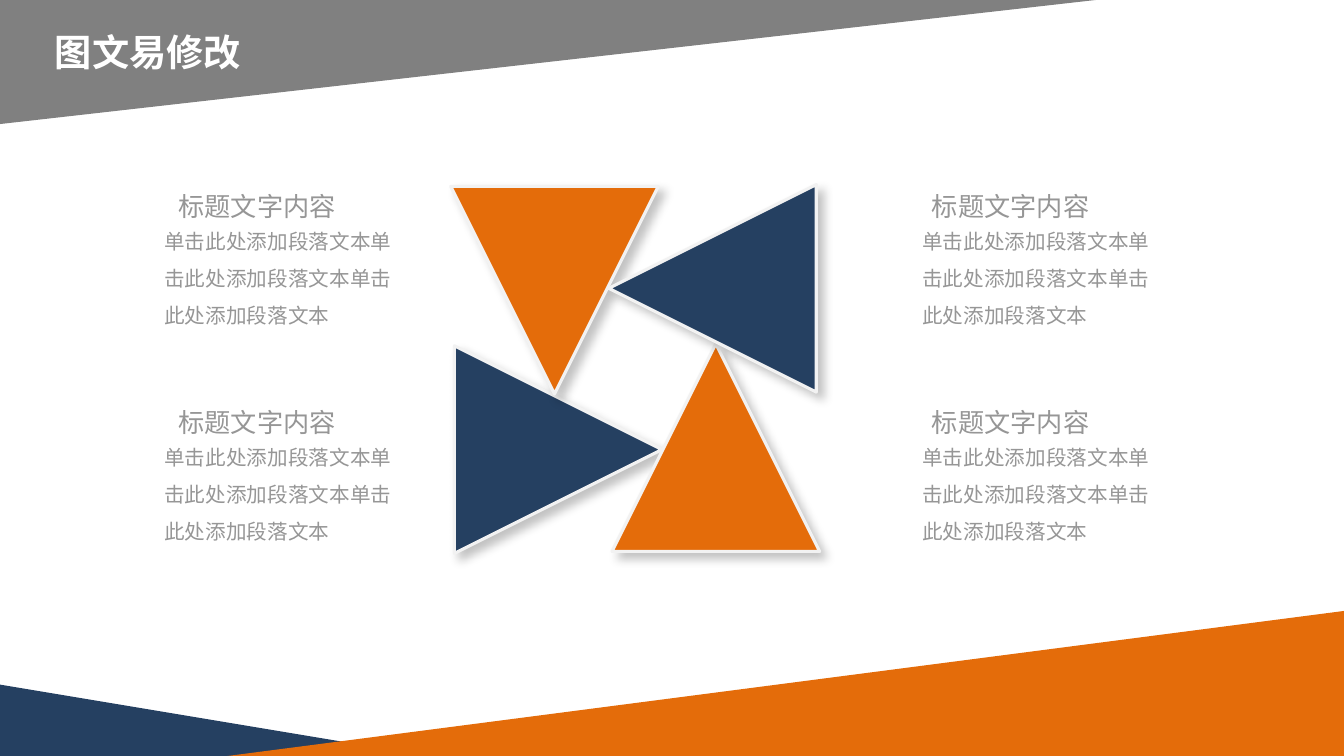
from lxml import etree
from pptx import Presentation
from pptx import util as u
from pptx.dml.color import RGBColor
from pptx.enum import shapes, text
from pptx.oxml import ns

COLORS = {"navy": "254061", "orange": "E46C0A", "gray": "808080",
          "edge": "F2F2F2", "copy": "969696", "white": "FFFFFF"}
CJK = "Noto Sans CJK SC"

prs = Presentation()
prs.slide_width, prs.slide_height = u.Pt(960), u.Pt(540)
s = prs.slides.add_slide(prs.slide_layouts[6])


def add_triangle(kind, box, color, rotation=0):
    sp = s.shapes.add_shape(kind, *map(u.Pt, box))
    sp.shadow.inherit = False
    sp.rotation = rotation
    sp.fill.solid()
    sp.fill.fore_color.rgb = RGBColor.from_string(COLORS[color])
    sp.line.fill.background()
    return sp


def add_text(box, words, size, font, color, align, bold=False, spacing=1.0):
    sp = s.shapes.add_textbox(*map(u.Pt, box))
    tf = sp.text_frame
    tf.word_wrap = True
    tf.auto_size = text.MSO_AUTO_SIZE.SHAPE_TO_FIT_TEXT
    p = tf.paragraphs[0]
    p.text = words
    p.alignment = align
    p.line_spacing = spacing
    p.font.size = u.Pt(size)
    p.font.bold = bold
    p.font.name = font
    p.font.color.rgb = RGBColor.from_string(COLORS[color])
    props = p._p.pPr.find(ns.qn("a:defRPr"))
    etree.SubElement(props, ns.qn("a:ea"), typeface=CJK)
    return tf


wedges = [
    ((0, 489, 306, 51), "navy", 0, False),
    ((162.5, 436.4, 797.5, 103.6), "orange", 0, True),
    ((0, 0, 782.6, 88.6), "gray", 180, True),
]
for box, color, rotation, flipped in wedges:
    sp = add_triangle(shapes.MSO_SHAPE.RIGHT_TRIANGLE, box, color, rotation)
    if flipped:
        sp._element.spPr.find(ns.qn("a:xfrm")).set("flipH", "1")

SIDE = 148.3
blades = [
    (324.6, 247, "navy", 90),
    (321.9, 133.1, "orange", 180),
    (437.2, 245.6, "orange", 0),
    (434.8, 131.8, "navy", 270),
]
for left, top, color, rotation in blades:
    sp = add_triangle(shapes.MSO_SHAPE.ISOSCELES_TRIANGLE,
                      (left, top, SIDE, SIDE), color, rotation)
    sp.line.color.rgb = RGBColor.from_string(COLORS["edge"])
    sp.line.width = u.Pt(2.25)
    effects = sp._element.spPr.find(ns.qn("a:effectLst"))
    shadow = etree.SubElement(effects, ns.qn("a:outerShdw"), blurRad=str(u.Pt(7)),
                              dist=str(u.Pt(5.9)), dir="2700000", algn="tl",
                              rotWithShape="0")
    tint = etree.SubElement(shadow, ns.qn("a:srgbClr"), val="000000")
    etree.SubElement(tint, ns.qn("a:alpha"), val="23000")

for left, heading_width in ((108.7, 149.8), (650.2, 143.3)):
    for top in (132.3, 286.7):
        add_text((left, top, heading_width, 30.2), "标题文字内容", 18.7,
                 "Roboto Condensed", "copy", text.PP_ALIGN.CENTER)
        add_text((left + 1.4, top + 18.8, 177.1, 87.1), "单击此处添加段落文本" * 3, 14.7,
                 CJK, "copy", text.PP_ALIGN.LEFT, spacing=1.5)

tf = add_text((0, 20.9, 211.7, 32.4), "图文易修改", 26.6, CJK, "white",
              text.PP_ALIGN.CENTER, bold=True)
tf.margin_left = tf.margin_top = tf.margin_right = tf.margin_bottom = 0

prs.save("out.pptx")
